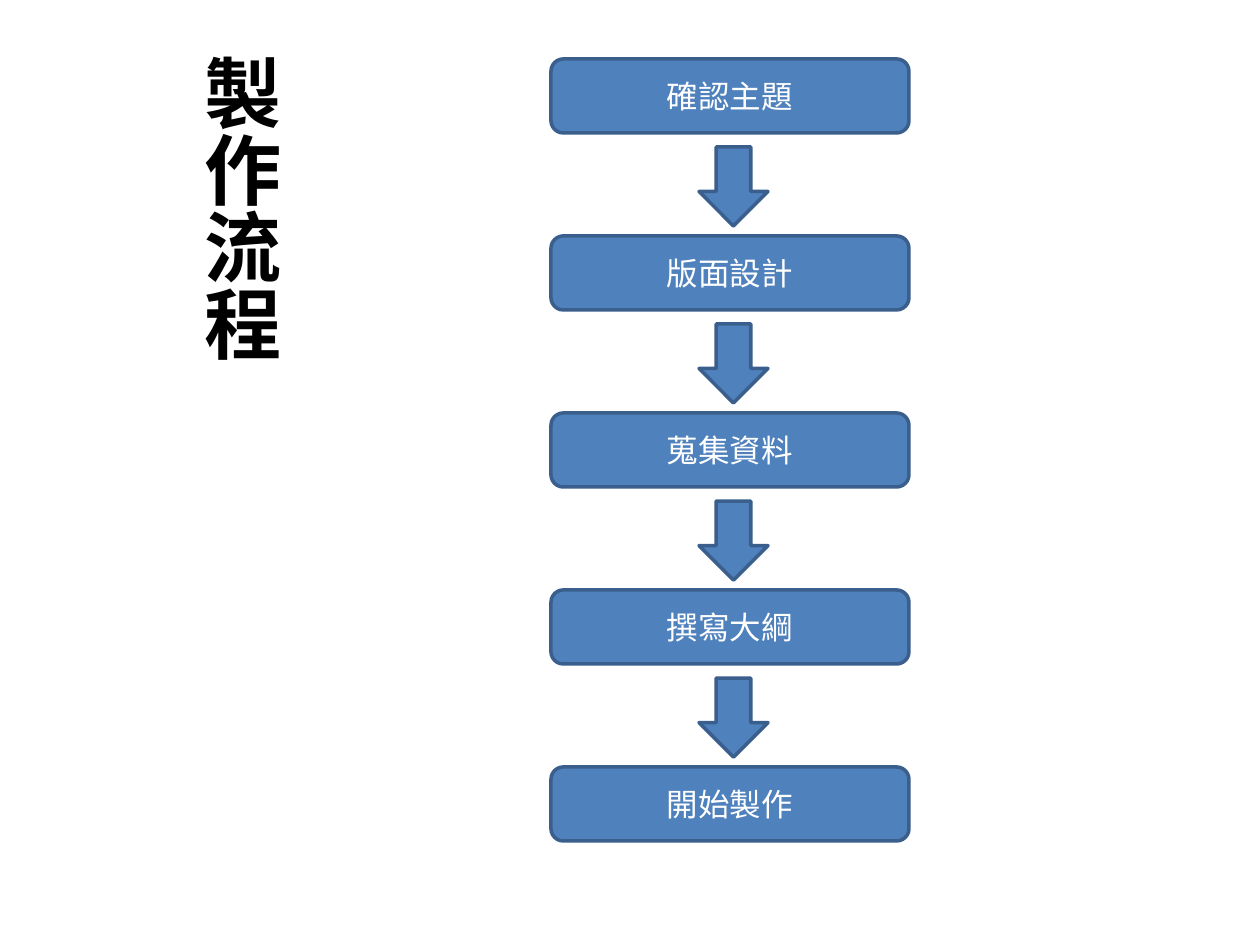
import pptx
import pptx.util
import pptx.dml.color
import pptx.enum.shapes
import pptx.enum.text

SCALE = 914400 / 126
STEPS = ["確認主題", "版面設計", "蒐集資料", "撰寫大綱", "開始製作"]
STEP_TOP, STEP_PITCH = 59, 177
ARROW_OFFSET = 88
SHAPES = pptx.enum.shapes.MSO_SHAPE
MIDDLE = pptx.enum.text.MSO_ANCHOR.MIDDLE
ALIGN = pptx.enum.text.PP_ALIGN


def color(hex_string):
    return pptx.dml.color.RGBColor.from_string(hex_string)


def add_block(kind, *box):
    block = slide.shapes.add_shape(kind, *[round(px * SCALE) for px in box])
    block.shadow.inherit = False
    block.fill.solid()
    block.fill.fore_color.rgb = color("4F81BD")
    block.line.color.rgb = color("3A5F8C")
    block.line.width = pptx.util.Pt(2)
    return block


deck = pptx.Presentation()
deck.slide_width = round(1260 * SCALE)
deck.slide_height = round(945 * SCALE)
slide = deck.slides.add_slide(deck.slide_layouts[6])

heading = slide.shapes.add_textbox(*[round(px * SCALE) for px in (148, 49, 184, 806)])
heading_frame = heading.text_frame
heading_frame.word_wrap = True
heading_frame.vertical_anchor = MIDDLE
heading_frame.margin_left = heading_frame.margin_right = round(6 * SCALE)
heading_frame.margin_top = heading_frame.margin_bottom = round(6 * SCALE)
heading_frame._txBody.bodyPr.set("vert", "eaVert")
heading_line = heading_frame.paragraphs[0]
heading_line.text = "製作流程"
heading_line.alignment = ALIGN.LEFT
heading_line.font.name = "Noto Sans CJK SC"
heading_line.font.size = pptx.util.Pt(44)
heading_line.font.bold = True
heading_line.font.color.rgb = color("000000")

for index, step in enumerate(STEPS):
    top = STEP_TOP + index * STEP_PITCH
    step_box = add_block(SHAPES.ROUNDED_RECTANGLE, 551, top, 358, 74)
    step_box.text_frame.vertical_anchor = MIDDLE
    step_line = step_box.text_frame.paragraphs[0]
    step_line.text = step
    step_line.alignment = ALIGN.CENTER
    step_line.font.name = "Calibri"
    step_line.font.size = pptx.util.Pt(18)
    step_line.font.color.rgb = color("FFFFFF")
    if index < len(STEPS) - 1:
        add_block(SHAPES.DOWN_ARROW, 699, top + ARROW_OFFSET, 69, 79)

deck.save("out.pptx")
